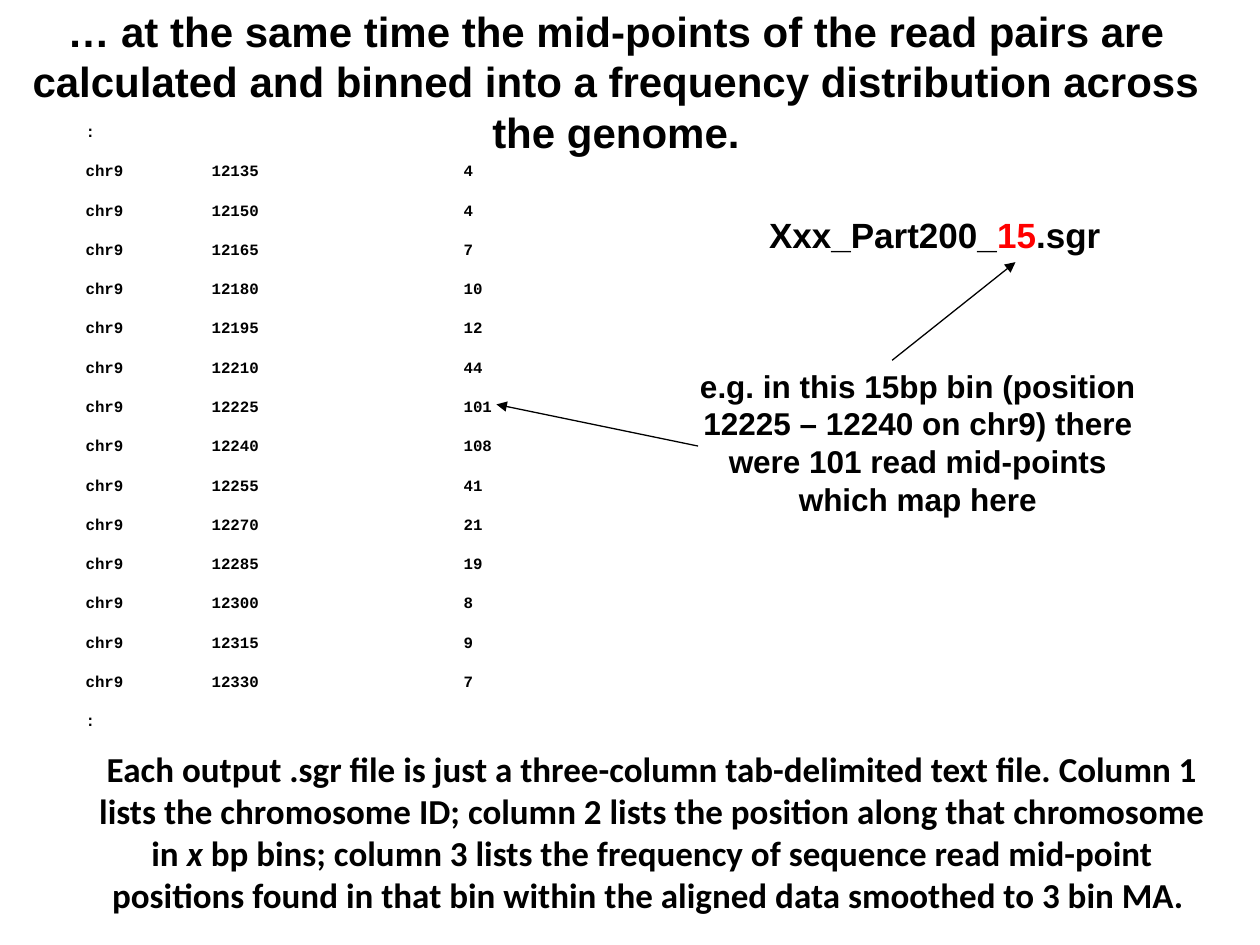
from dataclasses import dataclass

from lxml import etree
from pptx import Presentation
from pptx.dml.color import RGBColor
from pptx.enum import shapes, text
from pptx.oxml import ns
from pptx.util import Pt

BLACK = RGBColor(0x00, 0x00, 0x00)
RED = RGBColor(0xFF, 0x00, 0x00)
FIRST_POSITION = 12135
BIN_SIZE = 15
COUNTS = (4, 4, 7, 10, 12, 44, 101, 108, 41, 21, 19, 8, 9, 7)
TAB_STOPS = (72, 144, 216)


@dataclass(frozen=True)
class Span:
    text: str
    color: RGBColor | None = None
    italic: bool | None = None


@dataclass(frozen=True)
class Paragraph:
    spans: tuple[Span, ...]
    size: float
    font: str = "Arial"
    align: text.PP_ALIGN = text.PP_ALIGN.CENTER
    line_spacing: float | None = None
    space_after: float | None = None
    tab_stops: tuple[float, ...] = ()


@dataclass(frozen=True)
class TextBox:
    left: float
    top: float
    width: float
    height: float
    paragraphs: tuple[Paragraph, ...]


@dataclass(frozen=True)
class Arrow:
    start: tuple[float, float]
    end: tuple[float, float]


def listing_line(content: str) -> Paragraph:
    return Paragraph(
        (Span(content),), 9, "Courier New", text.PP_ALIGN.LEFT, 1.15, 10, TAB_STOPS
    )


def set_tab_stops(para, stops: tuple[float, ...]) -> None:
    properties = para._p.get_or_add_pPr()
    tab_list = etree.Element(ns.qn("a:tabLst"))
    for stop in stops:
        etree.SubElement(tab_list, ns.qn("a:tab"), pos=str(int(Pt(stop))), algn="l")
    properties.find(ns.qn("a:defRPr")).addprevious(tab_list)


def fill_paragraph(para, content: Paragraph) -> None:
    para.alignment = content.align
    para.line_spacing = content.line_spacing
    if content.space_after is not None:
        para.space_after = Pt(content.space_after)
    para.font.name = content.font
    para.font.size = Pt(content.size)
    para.font.bold = True
    para.font.color.rgb = BLACK
    if content.tab_stops:
        set_tab_stops(para, content.tab_stops)
    for span in content.spans:
        run = para.add_run()
        run.text = span.text
        if span.italic is not None:
            run.font.italic = span.italic
        if span.color is not None:
            run.font.color.rgb = span.color


def draw_text(page, box: TextBox) -> None:
    shape = page.shapes.add_textbox(Pt(box.left), Pt(box.top), Pt(box.width), Pt(box.height))
    frame = shape.text_frame
    frame.word_wrap = True
    frame.auto_size = text.MSO_AUTO_SIZE.SHAPE_TO_FIT_TEXT
    for index, content in enumerate(box.paragraphs):
        para = frame.add_paragraph() if index else frame.paragraphs[0]
        fill_paragraph(para, content)


def draw_arrow(page, arrow: Arrow) -> None:
    line = page.shapes.add_connector(
        shapes.MSO_CONNECTOR.STRAIGHT,
        *(Pt(value) for value in arrow.start + arrow.end),
    )
    line.line.color.rgb = BLACK
    line.line.width = Pt(0.75)
    etree.SubElement(line.line._get_or_add_ln(), ns.qn("a:tailEnd"), type="triangle")
    etree.SubElement(line._element.spPr, ns.qn("a:effectLst"))


TITLE = TextBox(0, -0.4, 704, 94.3, (
    Paragraph((Span(
        "… at the same time the mid-points of the read pairs are calculated "
        "and binned into a frequency distribution across the genome."
    ),), 24),
))

LISTING = TextBox(41.8, 64.4, 661.7, 466.6, (
    listing_line(":"),
    *(
        listing_line(f"chr9\t{FIRST_POSITION + index * BIN_SIZE}\t\t{count}")
        for index, count in enumerate(COUNTS)
    ),
    listing_line(":"),
    Paragraph((
        Span(
            "Each output .sgr file is just a three-column tab-delimited text file. "
            "Column 1 lists the chromosome ID; column 2 lists the position along "
            "that chromosome in "
        ),
        Span("x", italic=True),
        Span(
            " bp bins; column 3 lists the frequency of sequence read mid-point "
            "positions found in that bin within the aligned data smoothed to 3 bin MA. "
        ),
    ), 20, "Calibri"),
))

BIN_NOTE = TextBox(381.6, 205.9, 285.8, 94.3, (
    Paragraph((Span(
        "e.g. in this 15bp bin (position 12225 – 12240 on chr9) there were "
        "101 read mid-points which map here"
    ),), 18),
))

FILE_NAME = TextBox(429.8, 118.5, 208.8, 31.7, (
    Paragraph((Span("Xxx_Part200_"), Span("15", RED), Span(".sgr")), 20),
))

COUNT_ARROW = Arrow((398.9, 254.9), (283.7, 231.1))
BIN_SIZE_ARROW = Arrow((509.8, 205.9), (580.3, 149.8))


def main() -> None:
    deck = Presentation()
    deck.slide_width = Pt(720)
    deck.slide_height = Pt(540)
    page = deck.slides.add_slide(deck.slide_layouts[6])
    for box in (TITLE, LISTING, BIN_NOTE):
        draw_text(page, box)
    draw_arrow(page, COUNT_ARROW)
    draw_text(page, FILE_NAME)
    draw_arrow(page, BIN_SIZE_ARROW)
    deck.save("out.pptx")


if __name__ == "__main__":
    main()
